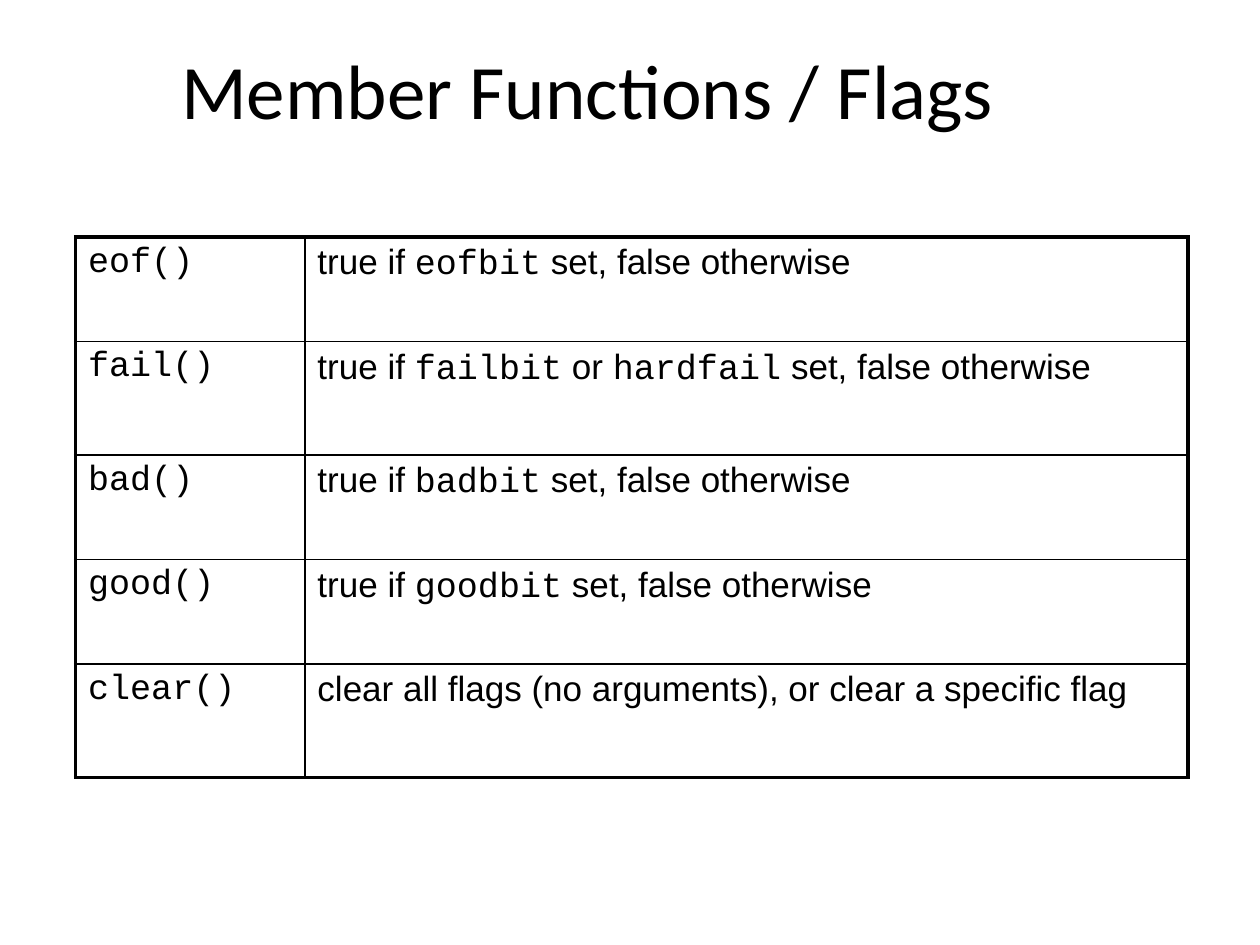
from lxml import etree
from pptx import Presentation
from pptx.dml.color import RGBColor
from pptx.enum.text import MSO_ANCHOR, PP_ALIGN
from pptx.oxml.ns import qn
from pptx.util import Inches, Pt

BLACK = RGBColor(0, 0, 0)
MIDDLE = MSO_ANCHOR.MIDDLE
CENTER = PP_ALIGN.CENTER
THIN, THICK = Pt(1), Pt(2.25)


class SlideWriter:
    """Holds the text style and the slide being written."""

    title_font, body_font, code_font = "Calibri", "Arial", "Courier New"
    title_size, body_size = Pt(44), Pt(20)

    def __init__(self, slide):
        self.slide = slide

    def style(self, font, name, size):
        font.name, font.size = name, size
        font.color.rgb = BLACK

    def title(self, text, left, top, width, height):
        box = self.slide.shapes.add_textbox(
            Inches(left), Inches(top), Inches(width), Inches(height))
        frame = box.text_frame
        frame.word_wrap = True
        frame.vertical_anchor = MIDDLE
        heading = frame.paragraphs[0]
        heading.text = text
        heading.alignment = CENTER
        self.style(heading.font, self.title_font, self.title_size)

    def mixed_text(self, paragraph, text):
        for index, part in enumerate(text.split("`")):
            if part:
                run = paragraph.add_run()
                run.text = part
                name = self.code_font if index % 2 else self.body_font
                self.style(run.font, name, self.body_size)

    def border(self, cell, side, width):
        properties = cell._tc.get_or_add_tcPr()
        line = etree.SubElement(properties, qn(f"a:ln{side}"), w=str(width))
        fill = etree.SubElement(line, qn("a:solidFill"))
        etree.SubElement(fill, qn("a:srgbClr"), val=str(BLACK))

    def table(self, rows, left, top, widths, heights):
        table = self.slide.shapes.add_table(
            len(rows), len(widths), Inches(left), Inches(top),
            Inches(sum(widths)), Inches(sum(heights))).table
        table.first_row = table.horz_banding = False
        for column, width in zip(table.columns, widths):
            column.width = Inches(width)
        last_row, last_column = len(rows) - 1, len(widths) - 1
        for r, (texts, height) in enumerate(zip(rows, heights)):
            table.rows[r].height = Inches(height)
            for c, text in enumerate(texts):
                cell = table.cell(r, c)
                self.mixed_text(cell.text_frame.paragraphs[0], text)
                outer = {"L": c == 0, "R": c == last_column,
                         "T": r == 0, "B": r == last_row}
                for side, is_outer in outer.items():
                    self.border(cell, side, THICK if is_outer else THIN)
                cell.fill.background()


FUNCTIONS = [
    ("`eof()`", "true if `eofbit` set, false otherwise"),
    ("`fail()`", "true if `failbit` or `hardfail` set, false otherwise"),
    ("`bad()`", "true if `badbit` set, false otherwise"),
    ("`good()`", "true if `goodbit` set, false otherwise"),
    ("`clear()`", "clear all flags (no arguments), or clear a specific flag"),
]

presentation = Presentation()
presentation.slide_width, presentation.slide_height = Inches(10), Inches(7.5)
blank = presentation.slide_layouts[6]
writer = SlideWriter(presentation.slides.add_slide(blank))
writer.title("Member Functions / Flags", 0.5, 0.08, 8.33, 1.25)
writer.table(FUNCTIONS, 0.6, 1.88, [1.82, 7.01], [0.83, 0.9, 0.83, 0.83, 0.9])
presentation.save("out.pptx")
